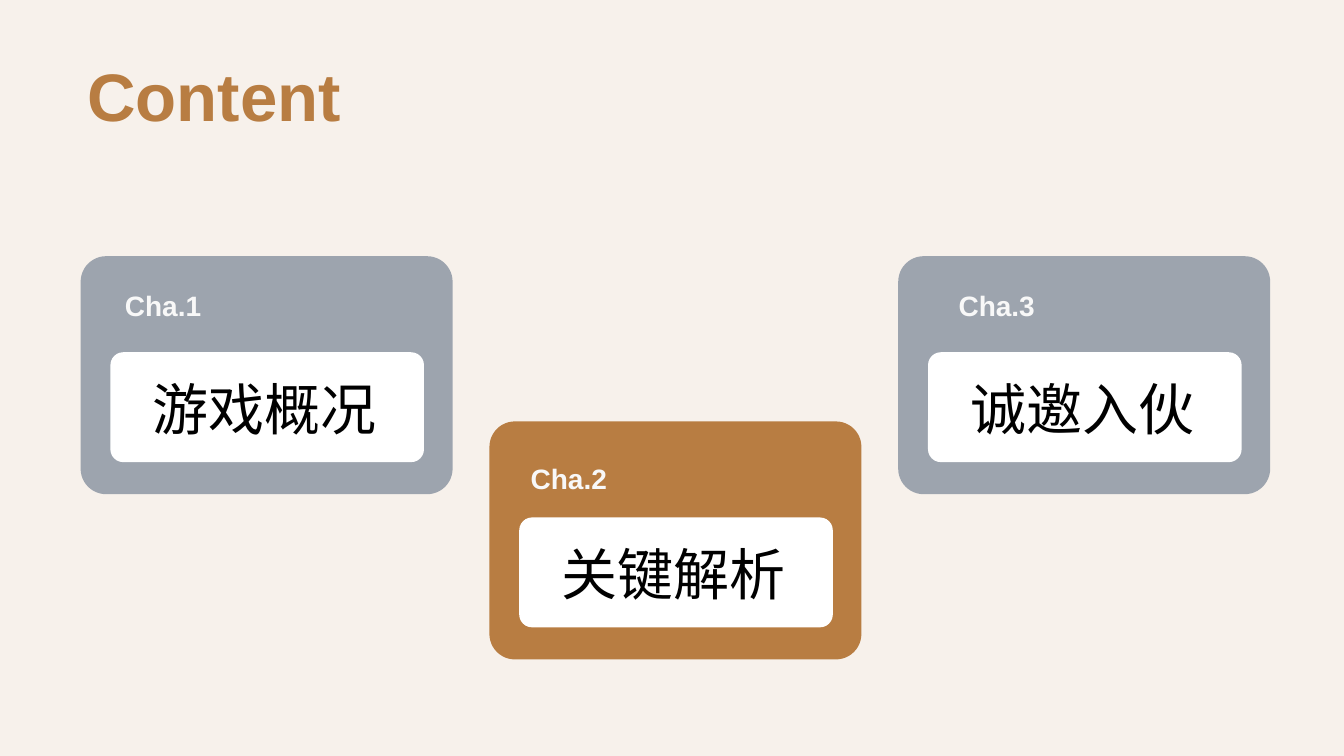
from lxml import etree
from pptx import Presentation
from pptx.dml.color import RGBColor
from pptx.enum.shapes import MSO_SHAPE
from pptx.enum.text import MSO_ANCHOR, PP_ALIGN
from pptx.oxml.ns import qn
from pptx.util import Pt

RECTANGLE = MSO_SHAPE.RECTANGLE
ROUNDED = MSO_SHAPE.ROUNDED_RECTANGLE
MIDDLE, BOTTOM = MSO_ANCHOR.MIDDLE, MSO_ANCHOR.BOTTOM
LEFT, CENTER = PP_ALIGN.LEFT, PP_ALIGN.CENTER

PAGE_WIDTH, PAGE_HEIGHT = 960, 540
BROWN, SLATE, WHITE, OFF_WHITE, BLACK = "B87D42", "778495", "FFFFFF", "F8F8F8", "000000"
LATIN_FONT, CHINESE_FONT = "Arial", "Noto Sans CJK JP"

CARD_LEFT, CARD_PITCH = 57.6, 292
CARD_WIDTH, CARD_HEIGHT = 265.7, 170
# number, caption, top, colour, opacity in percent, label offset from the card
CHAPTERS = [
    (1, "游戏概况", 183, SLATE, 70, (24.5, 10.8)),
    (2, "关键解析", 301, BROWN, 100, (22.3, 16.6)),
    (3, "诚邀入伙", 183, SLATE, 70, (36, 10.8)),
]


def color(value):
    return RGBColor.from_string(value)


def add_panel(page, kind, left, top, width, height, fill, opacity=100, corner=None):
    panel = page.shapes.add_shape(kind, Pt(left), Pt(top), Pt(width), Pt(height))
    panel.shadow.inherit = False
    panel.line.fill.background()
    panel.fill.solid()
    panel.fill.fore_color.rgb = color(fill)
    if corner is not None:
        panel.adjustments[0] = corner
    if opacity < 100:
        tint = panel.fill._xPr.find(qn("a:solidFill"))[0]
        etree.SubElement(tint, qn("a:alpha"), val=str(opacity * 1000))


def add_text(page, text, left, top, width, height, size, fill, font_name=LATIN_FONT,
             bold=False, anchor=MIDDLE, align=LEFT, line_spacing=1.0):
    box = page.shapes.add_textbox(Pt(left), Pt(top), Pt(width), Pt(height))
    frame = box.text_frame
    frame.word_wrap = True
    frame.vertical_anchor = anchor
    para = frame.paragraphs[0]
    para.text = text
    para.alignment = align
    para.line_spacing = line_spacing
    font = para.font
    font.size = Pt(size)
    font.bold = bold
    font.color.rgb = color(fill)
    font.name = font_name
    etree.SubElement(font._rPr, qn("a:ea"), typeface=font_name)


def add_chapter_card(page, number, caption, top, fill, opacity, label_offset):
    left = CARD_LEFT + (number - 1) * CARD_PITCH
    label_left, label_top = label_offset
    add_panel(page, ROUNDED, left, top, CARD_WIDTH, CARD_HEIGHT, fill, opacity, corner=0.107)
    add_panel(page, ROUNDED, left + 21.3, top + 68.6, 224, 78.5, WHITE, corner=0.117)
    add_text(page, f"Cha.{number}", left + label_left, top + label_top, 162, 39.6,
             20, OFF_WHITE, bold=True, anchor=BOTTOM)
    add_text(page, caption, left + 44.6, top + 72.7, 206, 62,
             40, BLACK, CHINESE_FONT, line_spacing=1.2)


def main():
    deck = Presentation()
    deck.slide_width, deck.slide_height = Pt(PAGE_WIDTH), Pt(PAGE_HEIGHT)
    page = deck.slides.add_slide(deck.slide_layouts[6])
    add_panel(page, RECTANGLE, 0, 0, PAGE_WIDTH, PAGE_HEIGHT, BROWN, opacity=10)
    for chapter in CHAPTERS:
        add_chapter_card(page, *chapter)
    add_text(page, "Content", 54, 34.6, 198, 65.5, 48, BROWN, bold=True, align=CENTER)
    deck.save("out.pptx")


if __name__ == "__main__":
    main()
